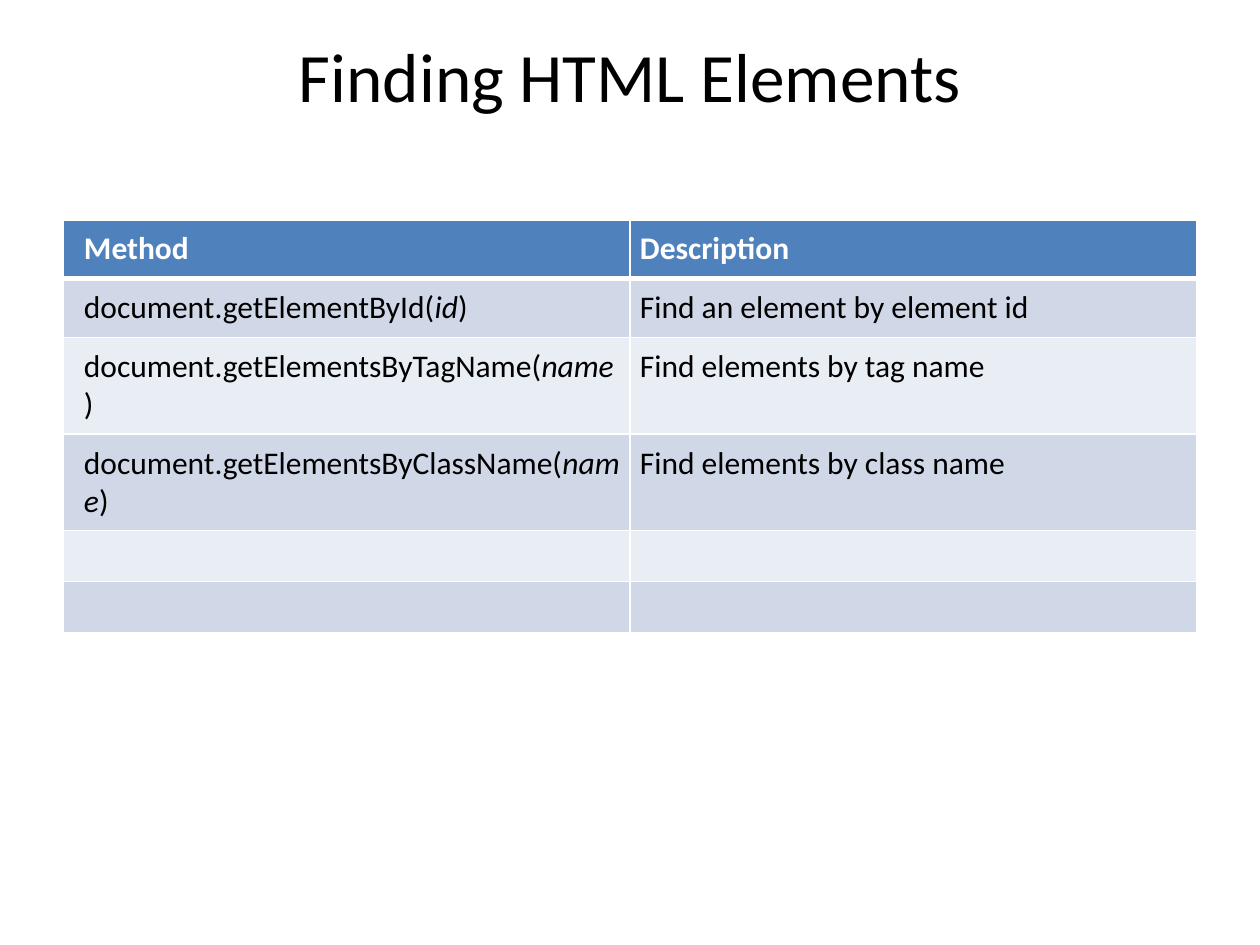
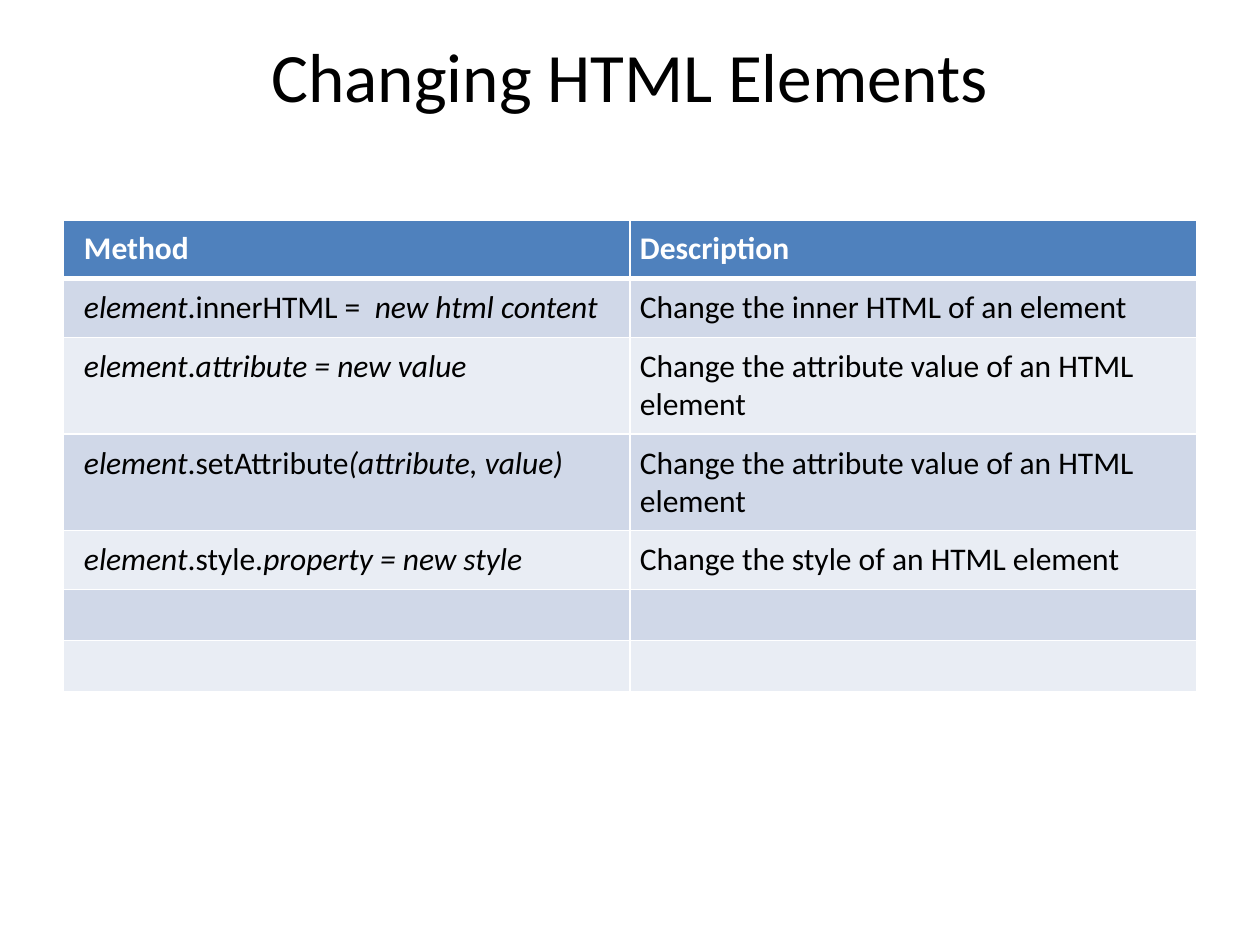
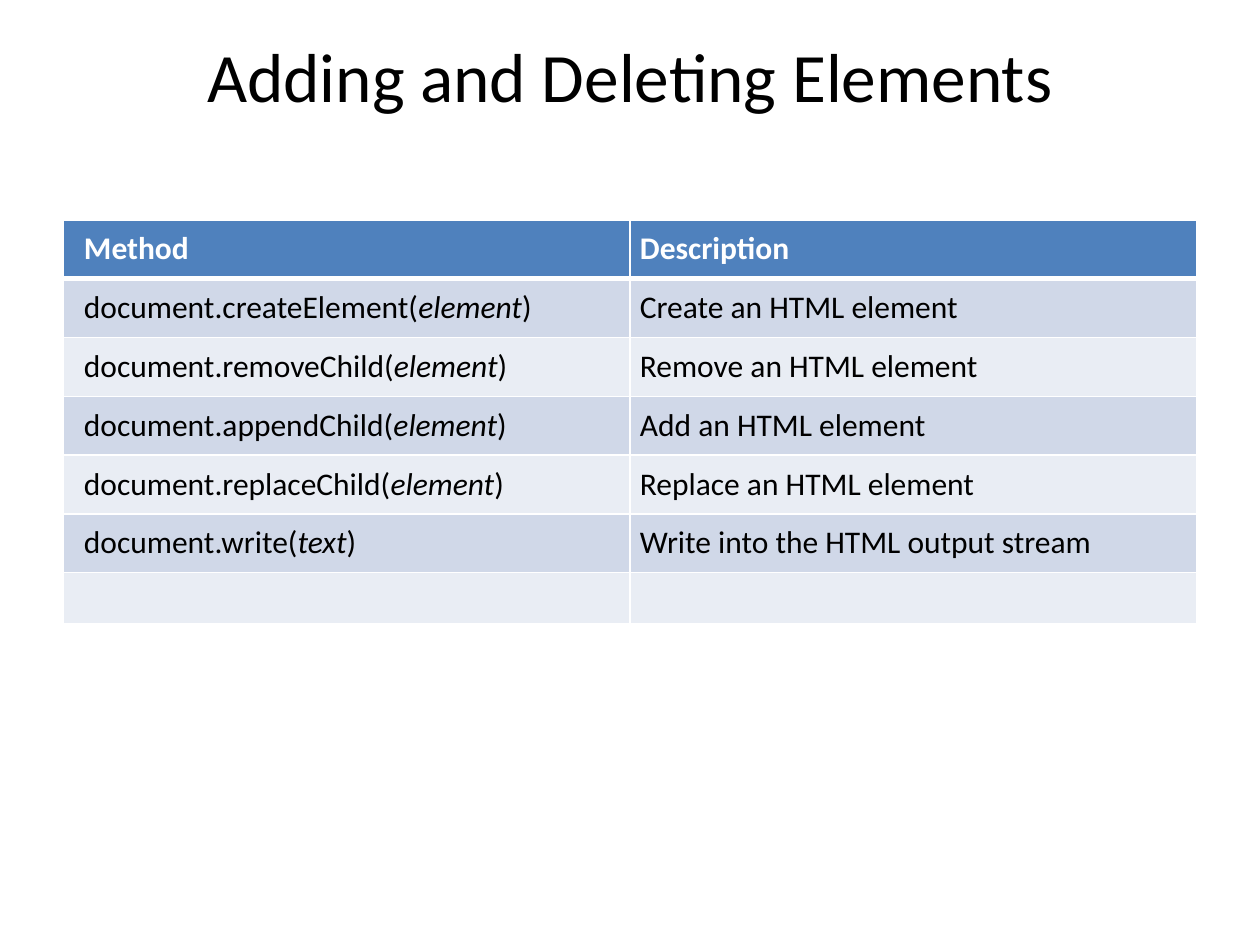
"""Build three slides of HTML DOM method tables."""
import pptx
import pptx.dml.color
import pptx.enum.text
import pptx.oxml.ns
import pptx.util
from lxml import etree

EMU_PER_PX = 914400 // 126
FONT = "Calibri"
BLACK = pptx.dml.color.RGBColor(0x00, 0x00, 0x00)
WHITE = pptx.dml.color.RGBColor(0xFF, 0xFF, 0xFF)
HEADER_BLUE = pptx.dml.color.RGBColor(0x4F, 0x81, 0xBD)
BANDS = (
    pptx.dml.color.RGBColor(0xD0, 0xD8, 0xE8),
    pptx.dml.color.RGBColor(0xE9, 0xED, 0xF4),
)
LEFT, WIDTH = 63, 1134
TITLE_TOP, TITLE_HEIGHT = 38, 157
TABLE_TOP, ROW_HEIGHT = 220, 51
COLUMN_INSETS = (21, 10)
HEADINGS = ("Method", "Description")
EMPTY_ROW = ("", "")

# Asterisks enclose the italic parts of a method.
TABLES = {
    "Finding HTML Elements": [
        ("document.getElementById(*id*)", "Find an element by element id"),
        ("document.getElementsByTagName(*name*)", "Find elements by tag name"),
        ("document.getElementsByClassName(*name*)", "Find elements by class name"),
        EMPTY_ROW,
        EMPTY_ROW,
    ],
    "Changing HTML Elements": [
        ("*element*.innerHTML =  *new html content*", "Change the inner HTML of an element"),
        ("*element*.*attribute = new value*", "Change the attribute value of an HTML element"),
        ("*element*.setAttribute*(attribute, value)*", "Change the attribute value of an HTML element"),
        ("*element*.style.*property = new style*", "Change the style of an HTML element"),
        EMPTY_ROW,
        EMPTY_ROW,
    ],
    "Adding and Deleting Elements": [
        ("document.createElement(*element*)", "Create an HTML element"),
        ("document.removeChild(*element*)", "Remove an HTML element"),
        ("document.appendChild(*element*)", "Add an HTML element"),
        ("document.replaceChild(*element*)", "Replace an HTML element"),
        ("document.write(*text*)", "Write into the HTML output stream"),
        EMPTY_ROW,
    ],
}


def px(length):
    """Turn pixels into EMU."""
    return pptx.util.Emu(length * EMU_PER_PX)


def style_font(font, size, color, bold=False, italic=False):
    """Set the look of a font."""
    font.name = FONT
    font.size = pptx.util.Pt(size)
    font.color.rgb = color
    font.bold = bold
    font.italic = italic


def add_title(page, text):
    """Add the centred slide title."""
    box = page.shapes.add_textbox(px(LEFT), px(TITLE_TOP), px(WIDTH), px(TITLE_HEIGHT))
    frame = box.text_frame
    frame.word_wrap = True
    frame.margin_top = 0
    frame.vertical_anchor = pptx.enum.text.MSO_ANCHOR.TOP
    frame.text = text
    para = frame.paragraphs[0]
    para.alignment = pptx.enum.text.PP_ALIGN.CENTER
    para.line_spacing = 0.97
    style_font(para.runs[0].font, 39.6, BLACK)


def set_borders(cell, row):
    """Draw white cell borders, thicker below the header."""
    properties = cell._tc.get_or_add_tcPr()
    points = {"L": 1, "R": 1, "T": 3 if row == 1 else 1, "B": 3 if row == 0 else 1}
    for side, width in points.items():
        line = etree.SubElement(
            properties, pptx.oxml.ns.qn(f"a:ln{side}"), w=str(pptx.util.Pt(width))
        )
        fill = etree.SubElement(line, pptx.oxml.ns.qn("a:solidFill"))
        etree.SubElement(fill, pptx.oxml.ns.qn("a:srgbClr"), val=str(WHITE))


def write_cell(cell, text, left_inset, is_header):
    """Write text whose parts between asterisks are italic."""
    cell.margin_left = px(left_inset)
    cell.margin_right = cell.margin_top = px(10)
    cell.margin_bottom = px(11)
    para = cell.text_frame.paragraphs[0]
    for index, part in enumerate(text.split("*")):
        if part:
            span = para.add_run()
            span.text = part
            color = WHITE if is_header else BLACK
            style_font(span.font, 18, color, bold=is_header, italic=index % 2 == 1)


def add_method_table(page, methods):
    """Add a banded table of methods and descriptions."""
    rows = [HEADINGS, *methods]
    table = page.shapes.add_table(
        len(rows), len(HEADINGS), px(LEFT), px(TABLE_TOP), px(WIDTH), px(ROW_HEIGHT * len(rows))
    ).table
    for row, texts in enumerate(rows):
        for column, text in enumerate(texts):
            cell = table.cell(row, column)
            set_borders(cell, row)
            cell.fill.solid()
            cell.fill.fore_color.rgb = BANDS[(row - 1) % 2] if row else HEADER_BLUE
            if text:
                write_cell(cell, text, COLUMN_INSETS[column], row == 0)


def main():
    """Build and save the deck."""
    deck = pptx.Presentation()
    deck.slide_width = px(1260)
    deck.slide_height = px(945)
    for title, methods in TABLES.items():
        page = deck.slides.add_slide(deck.slide_layouts[6])
        add_title(page, title)
        add_method_table(page, methods)
    deck.save("out.pptx")


if __name__ == "__main__":
    main()
